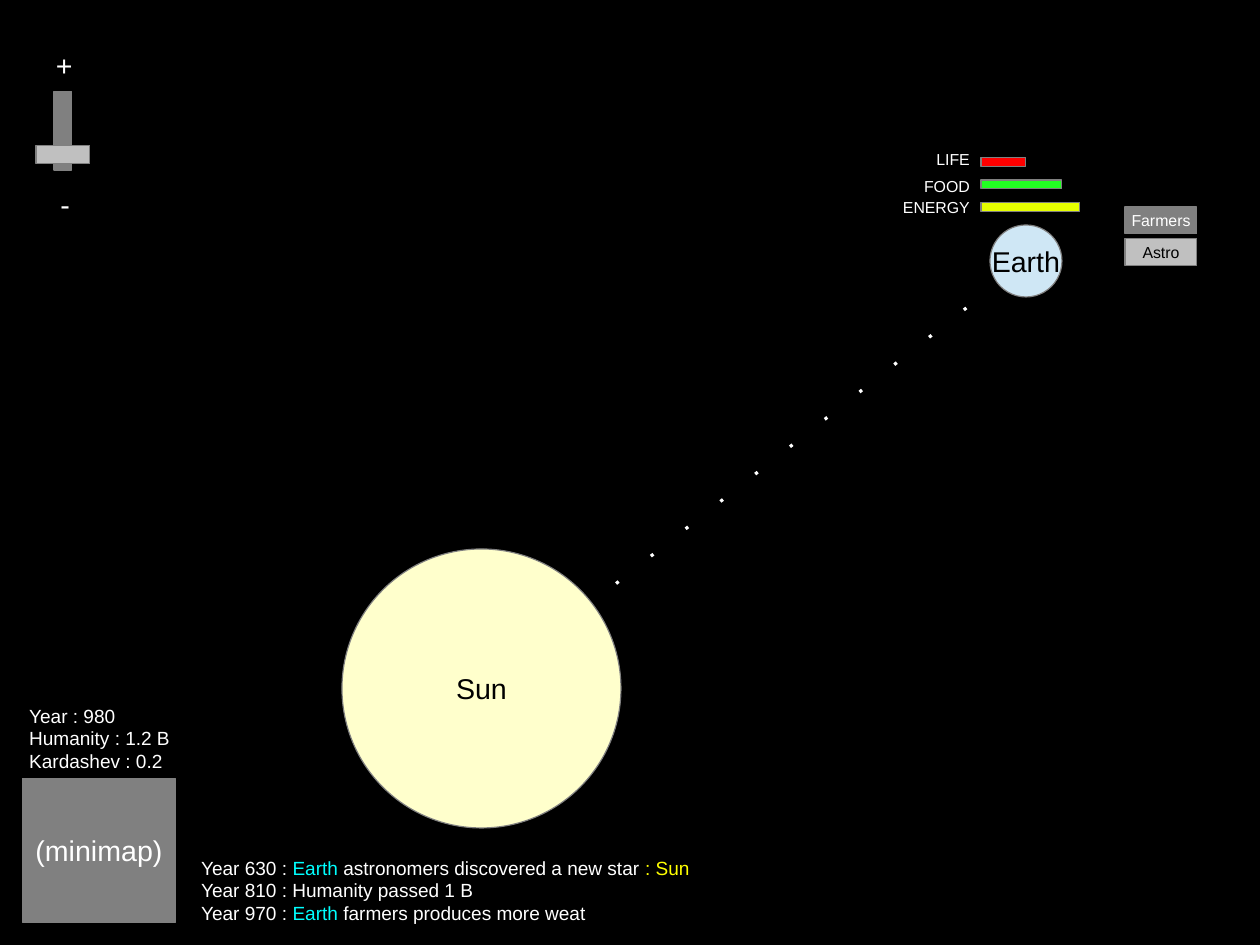
from dataclasses import dataclass
from lxml.etree import SubElement
from pptx import Presentation
from pptx.dml.color import RGBColor
from pptx.enum.shapes import MSO_CONNECTOR as Connector, MSO_SHAPE as Preset
from pptx.enum.text import MSO_ANCHOR as Anchor, PP_ALIGN as Align
from pptx.oxml.ns import qn
from pptx.util import Cm, Pt


@dataclass(frozen=True)
class Theme:
    font: str = "Arial"
    large: int = 18
    medium: int = 12
    small: int = 10
    space: str = "000000"
    white: str = "FFFFFF"
    gray: str = "808080"
    silver: str = "C0C0C0"
    sun: str = "FFFFCC"
    earth: str = "CFE7F5"
    life: str = "FF0000"
    food: str = "23FF23"
    energy: str = "E6FF00"
    cyan: str = "00FFFF"
    yellow: str = "FFFF00"


THEME = Theme()


def color(value):
    return RGBColor.from_string(value)


def style_paragraph(paragraph, size, align):
    paragraph.alignment = align
    paragraph.font.name = THEME.font
    paragraph.font.size = Pt(size)


def add_block(slide, preset, box, fill, text="", size=THEME.large, ink=THEME.white):
    """Add a filled shape with a hairline edge and an optional centred label."""
    shape = slide.shapes.add_shape(preset, *map(Cm, box))
    shape.shadow.inherit = False
    shape.fill.solid()
    shape.fill.fore_color.rgb = color(fill)
    shape.line.color.rgb = color(THEME.gray)
    shape.line.width = Pt(0)
    if text:
        frame = shape.text_frame
        frame.word_wrap = False
        frame.vertical_anchor = Anchor.MIDDLE
        paragraph = frame.paragraphs[0]
        paragraph.text = text
        style_paragraph(paragraph, size, Align.CENTER)
        paragraph.font.color.rgb = color(ink)


def add_text(slide, box, lines, size, align=Align.LEFT):
    """Add a text box; each line is a list of (text, colour) spans."""
    frame = slide.shapes.add_textbox(*map(Cm, box)).text_frame
    frame.word_wrap = True
    for index, spans in enumerate(lines):
        paragraph = frame.add_paragraph() if index else frame.paragraphs[0]
        style_paragraph(paragraph, size, align)
        for text, ink in spans:
            run = paragraph.add_run()
            run.text = text
            run.font.color.rgb = color(ink)


def add_dotted_line(slide, start, end):
    line = slide.shapes.add_connector(Connector.STRAIGHT, *map(Cm, start + end))
    line.line.color.rgb = color(THEME.white)
    line.line.width = Pt(0)
    dash = SubElement(line.line._get_or_add_ln(), qn("a:custDash"))
    SubElement(dash, qn("a:ds"), d="100000", sp="1285000")
    SubElement(line._element.spPr, qn("a:effectLst"))


def add_gauge(slide, label, label_top, bar_top, length, fill):
    left = 21.8
    add_block(slide, Preset.RECTANGLE, (left, bar_top, length, 0.2), fill)
    add_text(slide, (left - 2.5, label_top, 2.5, 0.64), [[(label, THEME.white)]],
             THEME.small, Align.RIGHT)


def main():
    presentation = Presentation()
    presentation.slide_width, presentation.slide_height = Cm(28), Cm(21)
    slide = presentation.slides.add_slide(presentation.slide_layouts[6])
    slide.background.fill.solid()
    slide.background.fill.fore_color.rgb = color(THEME.space)
    white = THEME.white

    # Sun, Earth and the line between them
    add_dotted_line(slide, (10.6, 15.4), (22.8, 5.8))
    add_block(slide, Preset.OVAL, (7.6, 12.2, 6.2, 6.2), THEME.sun, "Sun", ink=THEME.space)
    add_block(slide, Preset.OVAL, (22, 5, 1.6, 1.6), THEME.earth, "Earth", ink=THEME.space)

    # Planet gauges
    add_gauge(slide, "LIFE", 3.2, 3.5, 1, THEME.life)
    add_gauge(slide, "FOOD", 3.8, 4, 1.8, THEME.food)
    add_gauge(slide, "ENERGY", 4.27, 4.5, 2.2, THEME.energy)

    # Minimap and statistics
    add_block(slide, Preset.RECTANGLE, (0.5, 17.3, 3.4, 3.2), THEME.gray, "(minimap)")
    statistics = ("Year : 980", "Humanity : 1.2 B", "Kardashev : 0.2")
    add_text(slide, (0.4, 15.52, 3.8, 1.7), [[(line, white)] for line in statistics],
             THEME.medium)

    # Event log
    earth = ("Earth", THEME.cyan)
    events = [
        [("Year 630 : ", white), earth, (" astronomers discovered a new star", white),
         (" : Sun", THEME.yellow)],
        [("Year 810 : Humanity passed 1 B", white)],
        [("Year 970 : ", white), earth, (" farmers produces more weat", white)],
    ]
    add_text(slide, (4.22, 18.9, 12.78, 1.68), events, THEME.medium)

    # Zoom slider
    add_block(slide, Preset.RECTANGLE, (1.2, 2.03, 0.4, 1.75), THEME.gray)
    add_block(slide, Preset.RECTANGLE, (0.8, 3.23, 1.2, 0.4), THEME.silver)
    for sign, left, top in (("+", 0.99, 0.94), ("-", 1.09, 4.04)):
        add_text(slide, (left, top, 0.9, 0.97), [[(sign, white)]], THEME.large)

    # Population buttons
    buttons = (("Farmers", THEME.gray, white), ("Astro", THEME.silver, THEME.space))
    for index, (label, fill, ink) in enumerate(buttons):
        add_block(slide, Preset.RECTANGLE, (25, 4.6 + 0.7 * index, 1.6, 0.6), fill,
                  label, THEME.small, ink)

    presentation.save("out.pptx")


if __name__ == "__main__":
    main()
